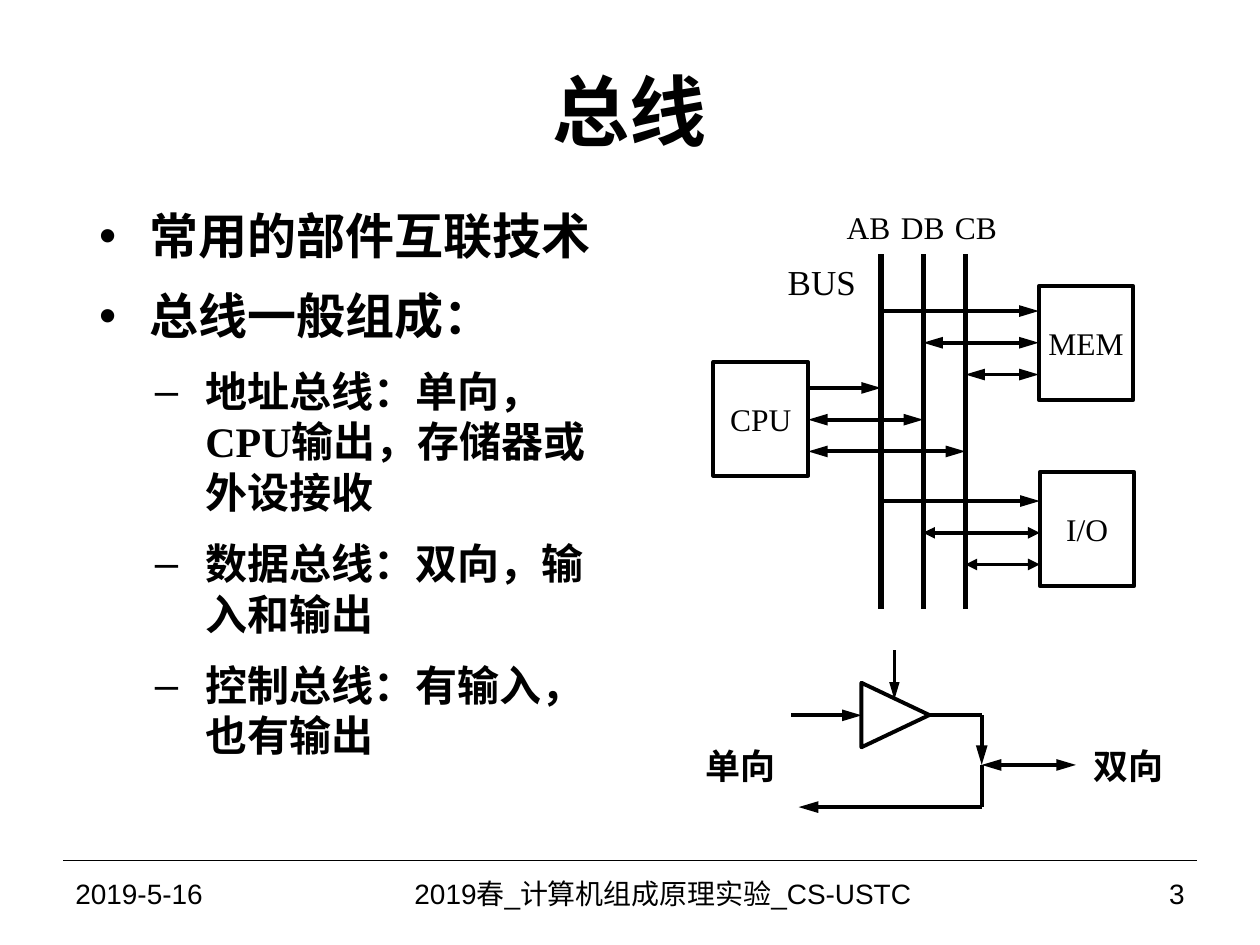
"""Build the slide that introduces the computer bus."""
from dataclasses import dataclass

from lxml import etree
from pptx import Presentation
from pptx import util as u
from pptx.dml.color import RGBColor
from pptx.enum import shapes, text
from pptx.oxml import ns

ALIGN = text.PP_ALIGN
MIDDLE = text.MSO_ANCHOR.MIDDLE


@dataclass(frozen=True)
class Theme:
    ink: RGBColor = RGBColor(0, 0, 0)
    paper: RGBColor = RGBColor(255, 255, 255)
    sans: str = "Arial"
    serif: str = "Times New Roman"
    title: float = 44
    topic: float = 28
    detail: float = 24
    caption: float = 20
    label: float = 18
    footer: float = 16
    hairline: float = 0.75
    thin: float = 1.5
    stroke: float = 2.25
    bus: float = 3


def write(para, words, *, size, font, color, bold=False, align=ALIGN.LEFT):
    para.alignment = align
    span = para.add_run()
    span.text = words
    span.font.size = u.Pt(size)
    span.font.name = font
    span.font.bold = bold
    span.font.color.rgb = color


class Sketch:
    """Draw styled elements on one page."""

    def __init__(self, page, theme):
        self.page = page
        self.theme = theme

    def place(self, box, left, top, width, height):
        box.left, box.top = u.Cm(left), u.Cm(top)
        box.width, box.height = u.Cm(width), u.Cm(height)

    def frame(self, box, margins=(0.25, 0.13), wrap=True, fit=text.MSO_AUTO_SIZE.NONE):
        frame = box.text_frame
        frame.word_wrap = wrap
        frame.auto_size = fit
        frame.margin_left = frame.margin_right = u.Cm(margins[0])
        frame.margin_top = frame.margin_bottom = u.Cm(margins[1])
        return frame

    def title(self, words, *area):
        box = self.page.shapes.title
        self.place(box, *area)
        frame = self.frame(box)
        frame.vertical_anchor = MIDDLE
        write(frame.paragraphs[0], words, size=self.theme.title, font=self.theme.sans,
              color=self.theme.ink, bold=True, align=ALIGN.CENTER)

    def outline(self, items, *area):
        box = self.page.placeholders[1]
        self.place(box, *area)
        frame = self.frame(box)
        for index, (level, words) in enumerate(items):
            para = frame.add_paragraph() if index else frame.paragraphs[0]
            para.level = level
            para.space_before = u.Pt(12 if index else 6)
            props = para._p.get_or_add_pPr()
            props.set("marL", str(u.Cm((1.5, 2.62)[level])))
            props.set("indent", str(u.Cm(-1.02)))
            write(para, words, size=(self.theme.topic, self.theme.detail)[level],
                  font=self.theme.serif, color=self.theme.ink, bold=True)

    def footer(self, words, left, width, align):
        box = self.page.shapes.add_textbox(u.Cm(left), u.Cm(17.35), u.Cm(width), u.Cm(1.32))
        frame = self.frame(box)
        frame.vertical_anchor = MIDDLE
        write(frame.paragraphs[0], words, size=self.theme.footer, font=self.theme.sans,
              color=self.theme.ink, align=align)

    def label(self, words, left, top, width, height, size, bold=False):
        box = self.page.shapes.add_textbox(u.Cm(left), u.Cm(top), u.Cm(width), u.Cm(height))
        frame = self.frame(box, (0, 0), False)
        frame.vertical_anchor = MIDDLE
        write(frame.paragraphs[0], words, size=size, font=self.theme.serif,
              color=self.theme.ink, bold=bold)

    def shape(self, kind, left, top, width, height):
        box = self.page.shapes.add_shape(kind, u.Cm(left), u.Cm(top), u.Cm(width), u.Cm(height))
        box.shadow.inherit = False
        box.line.color.rgb = self.theme.ink
        box.line.width = u.Pt(self.theme.stroke)
        return box

    def device(self, words, left, top):
        box = self.shape(shapes.MSO_SHAPE.RECTANGLE, left, top, 1.91, 2.29)
        box.fill.background()
        frame = self.frame(box, (0.1, 0.1), False)
        frame.vertical_anchor = MIDDLE
        write(frame.paragraphs[0], words, size=self.theme.label, font=self.theme.serif,
              color=self.theme.ink, align=ALIGN.CENTER)

    def gate(self, *area):
        box = self.shape(shapes.MSO_SHAPE.ISOSCELES_TRIANGLE, *area)
        box.rotation = 90
        box.fill.solid()
        box.fill.fore_color.rgb = self.theme.paper

    def line(self, start, end, width=None, head=False, tail=False, length="lg"):
        link = self.page.shapes.add_connector(
            shapes.MSO_CONNECTOR.STRAIGHT, *(u.Cm(value) for value in (*start, *end)))
        link.line.color.rgb = self.theme.ink
        link.line.width = u.Pt(width or self.theme.stroke)
        stroke = link.line._get_or_add_ln()
        for tag, wanted in (("a:headEnd", head), ("a:tailEnd", tail)):
            if wanted:
                etree.SubElement(stroke, ns.qn(tag), type="triangle", w="med", len=length)
        etree.SubElement(link._element.spPr, ns.qn("a:effectLst"))


def draw_buses(sketch):
    theme = sketch.theme
    buses = [17.76 + 0.85 * index for index in range(3)]
    for index, (name, x) in enumerate(zip(("AB", "DB", "CB"), buses)):
        sketch.line((x, 5.13), (x, 12.27), theme.bus)
        sketch.label(name, 17.07 + 1.09 * index, 4.19, 0.92, 0.76, theme.label)
    sketch.label("BUS", 15.88, 5.26, 1.5, 0.84, theme.caption)

    devices = (("CPU", 14.38, 7.3, 7.82, "lg"),
               ("MEM", 20.94, 5.77, 6.27, "lg"),
               ("I/O", 20.96, 9.52, 10.1, "med"))
    for name, left, top, first, length in devices:
        sketch.device(name, left, top)
        for index, x in enumerate(buses):
            y = first + 0.64 * index
            start, end = (left + 1.91, x) if left < x else (x, left)
            sketch.line((start, y), (end, y), head=index > 0, tail=True,
                        length=length if index else "lg")


def draw_gate(sketch):
    theme = sketch.theme
    middle, junction, bottom, corner = 14.42, 15.42, 16.27, 19.79
    sketch.gate(17.4, 13.73, 1.3, 1.37)
    sketch.line((18.03, 13.11), (18.03, 14.1), theme.thin, tail=True)
    sketch.line((15.95, middle), (17.37, middle), tail=True)
    sketch.line((18.72, middle), (corner, middle))
    sketch.line((corner, middle), (corner, junction), tail=True)
    sketch.line((corner, junction), (21.69, junction), head=True, tail=True)
    sketch.line((corner, junction), (corner, bottom))
    sketch.line((16.1, bottom), (corner, bottom), head=True)
    for words, left in (("单向", 14.22), ("双向", 22.05)):
        sketch.label(words, left, 15.01, 1.5, 0.84, theme.caption, bold=True)


def main():
    deck = Presentation()
    deck.slide_width, deck.slide_height = u.Cm(25.4), u.Cm(19.05)
    sketch = Sketch(deck.slides.add_slide(deck.slide_layouts[1]), Theme())

    sketch.line((1.27, 17.35), (24.13, 17.35), sketch.theme.hairline)
    sketch.title("总线", 1.27, 0.62, 22.86, 3.18)
    sketch.footer("2019春_计算机组成原理实验_CS-USTC ", 7.19, 12.5, ALIGN.CENTER)
    sketch.footer("3", 19.69, 4.44, ALIGN.RIGHT)
    sketch.footer("2019-5-16", 1.27, 5.92, ALIGN.LEFT)
    sketch.outline((
        (0, "常用的部件互联技术"),
        (0, "总线一般组成："),
        (1, "地址总线：单向，CPU输出，存储器或外设接收"),
        (1, "数据总线：双向，输入和输出"),
        (1, "控制总线：有输入，也有输出"),
    ), 1.27, 4.02, 11.22, 12.9)
    draw_gate(sketch)
    draw_buses(sketch)
    deck.save("out.pptx")


if __name__ == "__main__":
    main()
